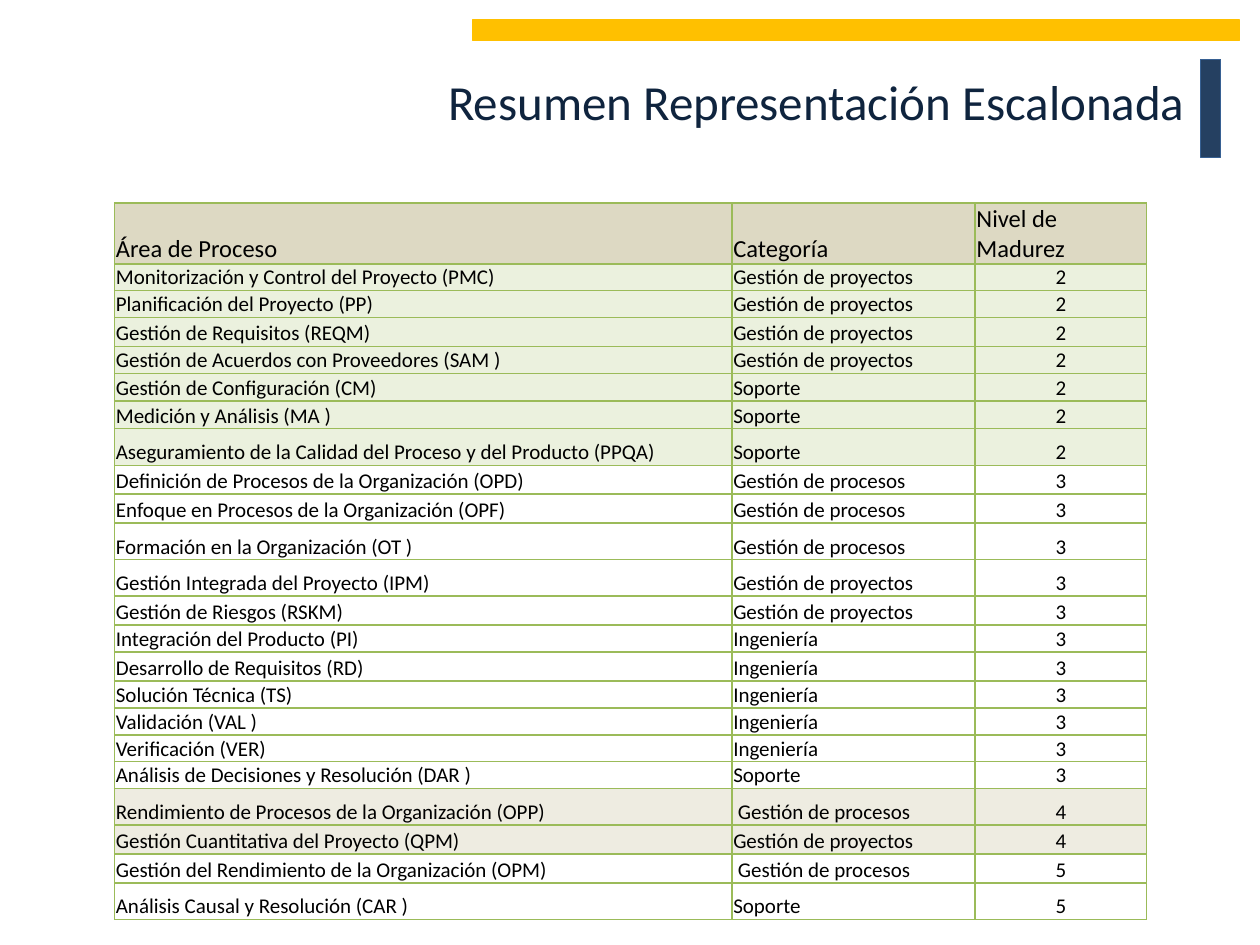
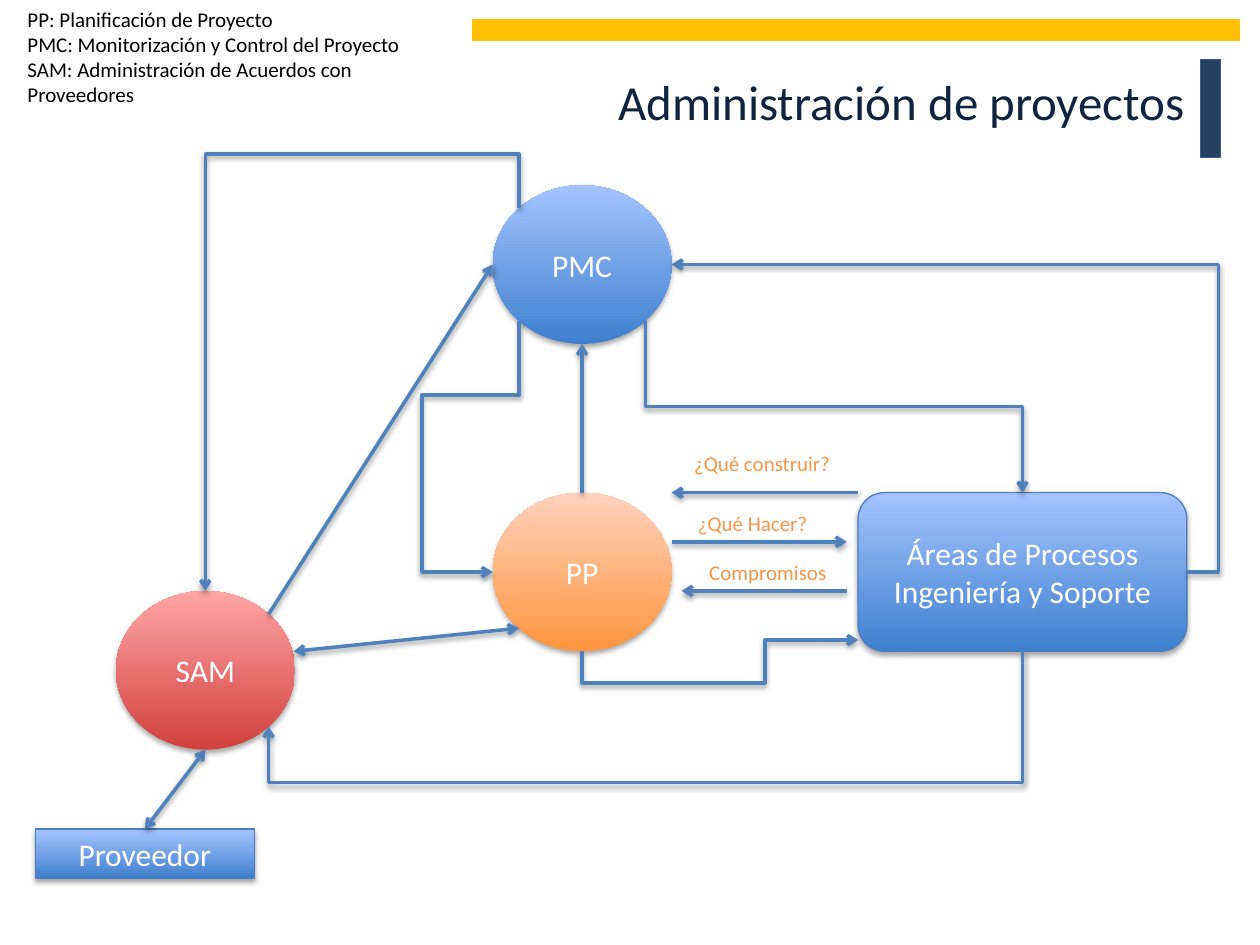
import math
from typing import NamedTuple

import pptx
import pptx.dml.color
import pptx.enum.shapes
import pptx.enum.text
import pptx.oxml
import pptx.oxml.ns
import pptx.util
from lxml import etree

Inches = pptx.util.Inches
Pt = pptx.util.Pt
qn = pptx.oxml.ns.qn
SHAPE = pptx.enum.shapes.MSO_SHAPE
CONNECTOR = pptx.enum.shapes.MSO_CONNECTOR
ALIGN = pptx.enum.text.PP_ALIGN
ANCHOR = pptx.enum.text.MSO_ANCHOR

FONT = "Calibri"
COLORS = {
    "title": "0F243E", "text": "000000", "white": "FFFFFF", "label": "F79646",
    "navy": "254061", "navy_line": "376092", "yellow": "FFC000",
    "header": "DDD9C3", "level_2": "EBF1DE", "level_4": "EEECE1",
    "border": "9BBB59", "connector": "4F81BD", "box_line": "4B7EBC",
}
GRADIENTS = {  # bottom colour, top colour
    "blue": ("3F80CE", "A4C4FF"),
    "orange": ("FF953E", "FFD2BD"),
    "red": ("D1403C", "FFA6A5"),
}
LEVEL_FILLS = {2: "level_2", 4: "level_4"}

HEADINGS = ("Área de Proceso", "Categoría", "Nivel de Madurez")
COLUMN_WIDTHS = (4.9, 1.93, 1.36)
HEADER_HEIGHT = 0.48
PROCESS_AREAS = [  # area, category, maturity level, row height
    ("Monitorización y Control del Proyecto (PMC)", "Gestión de proyectos", 2, 0.21),
    ("Planificación del Proyecto (PP)", "Gestión de proyectos", 2, 0.21),
    ("Gestión de Requisitos (REQM)", "Gestión de proyectos", 2, 0.23),
    ("Gestión de Acuerdos con Proveedores (SAM )", "Gestión de proyectos", 2, 0.21),
    ("Gestión de Configuración (CM)", "Soporte", 2, 0.22),
    ("Medición y Análisis (MA )", "Soporte", 2, 0.22),
    ("Aseguramiento de la Calidad del Proceso y del Producto (PPQA)", "Soporte", 2, 0.29),
    ("Definición de Procesos de la Organización (OPD)", "Gestión de procesos", 3, 0.23),
    ("Enfoque en Procesos de la Organización (OPF)", "Gestión de procesos", 3, 0.23),
    ("Formación en la Organización (OT )", "Gestión de procesos", 3, 0.29),
    ("Gestión Integrada del Proyecto (IPM)", "Gestión de proyectos", 3, 0.29),
    ("Gestión de Riesgos (RSKM)", "Gestión de proyectos", 3, 0.23),
    ("Integración del Producto (PI)", "Ingeniería", 3, 0.21),
    ("Desarrollo de Requisitos (RD)", "Ingeniería", 3, 0.23),
    ("Solución Técnica (TS)", "Ingeniería", 3, 0.21),
    ("Validación (VAL )", "Ingeniería", 3, 0.21),
    ("Verificación (VER)", "Ingeniería", 3, 0.21),
    ("Análisis de Decisiones y Resolución (DAR )", "Soporte", 3, 0.21),
    ("Rendimiento de Procesos de la Organización (OPP)", " Gestión de procesos", 4, 0.29),
    ("Gestión Cuantitativa del Proyecto (QPM)", "Gestión de proyectos", 4, 0.23),
    ("Gestión del Rendimiento de la Organización (OPM)", " Gestión de procesos", 5, 0.23),
    ("Análisis Causal y Resolución (CAR )", "Soporte", 5, 0.29),
]
LEGEND = (
    "PP: Planificación de Proyecto",
    "PMC: Monitorización y Control del Proyecto",
    "SAM: Administración de Acuerdos con Proveedores",
)
EXCHANGES = [  # label, label left, label top, label width, arrow start x, arrow end x, arrow y
    ("¿Qué construir?", 5.41, 3.53, 1.32, 6.81, 5.33, 3.91),
    ("¿Qué Hacer?", 5.44, 4, 1.18, 5.33, 6.72, 4.3),
    ("Compromisos", 5.53, 4.39, 1.18, 6.72, 5.41, 4.69),
]


class Site(NamedTuple):
    """A connection site of a shape, counted counter-clockwise from the top."""
    shape: object
    index: int


def color(name):
    return pptx.dml.color.RGBColor.from_string(COLORS[name])


def write(frame, lines, size, tint, align=None):
    for number, line in enumerate(lines):
        para = frame.paragraphs[0] if number == 0 else frame.add_paragraph()
        para.alignment = align
        span = para.add_run()
        span.text = line
        span.font.name = FONT
        span.font.size = Pt(size)
        span.font.color.rgb = color(tint)


def add_band(page, box, fill, line):
    band = page.shapes.add_shape(SHAPE.RECTANGLE, *map(Inches, box))
    band.shadow.inherit = False
    band.fill.solid()
    band.fill.fore_color.rgb = color(fill)
    band.line.color.rgb = color(line)
    band.line.width = Pt(0.75)


def add_page(deck, title, title_height):
    page = deck.slides.add_slide(deck.slide_layouts[5])
    add_band(page, (9.53, 0.47, 0.16, 0.78), "navy", "navy_line")
    add_band(page, (3.75, 0.16, 6.09, 0.16), "yellow", "yellow")
    holder = page.shapes.title
    holder.left, holder.top = Inches(0.5), Inches(0.52)
    holder.width, holder.height = Inches(9), Inches(title_height)
    holder.text_frame.vertical_anchor = ANCHOR.TOP
    write(holder.text_frame, [title], 28, "title", ALIGN.RIGHT)
    return page


def set_borders(cell):
    properties = cell._tc.get_or_add_tcPr()
    for side in ("a:lnL", "a:lnR", "a:lnT", "a:lnB"):
        border = etree.SubElement(properties, qn(side), w=str(Pt(1)))
        fill = etree.SubElement(border, qn("a:solidFill"))
        etree.SubElement(fill, qn("a:srgbClr"), val=COLORS["border"])


def fill_cell(cell, text, size, fill, align=None):
    cell.margin_left = cell.margin_right = cell.margin_top = Inches(0.01)
    cell.margin_bottom = 0
    cell.vertical_anchor = ANCHOR.BOTTOM
    set_borders(cell)
    if fill:
        cell.fill.solid()
        cell.fill.fore_color.rgb = color(fill)
    else:
        cell.fill.background()
    write(cell.text_frame, [text], size, "text", align)


def add_maturity_table(page):
    heights = [HEADER_HEIGHT] + [area[-1] for area in PROCESS_AREAS]
    frame = page.shapes.add_table(
        len(heights), len(HEADINGS), Inches(0.91), Inches(1.61),
        Inches(sum(COLUMN_WIDTHS)), Inches(sum(heights)))
    table = frame.table
    table.first_row = table.horz_banding = False
    for column, width in zip(table.columns, COLUMN_WIDTHS):
        column.width = Inches(width)
    for row, height in zip(table.rows, heights):
        row.height = Inches(height)
    for index, heading in enumerate(HEADINGS):
        fill_cell(table.cell(0, index), heading, 14, "header")
    for row, (area, category, level, _) in enumerate(PROCESS_AREAS, 1):
        fill = LEVEL_FILLS.get(level)
        fill_cell(table.cell(row, 0), area, 12, fill)
        fill_cell(table.cell(row, 1), category, 12, fill)
        fill_cell(table.cell(row, 2), str(level), 12, fill, ALIGN.CENTER)


def cast_shadow(effects, distance, opacity):
    shadow = etree.SubElement(
        effects, qn("a:outerShdw"), blurRad=str(Pt(3.1)), dist=str(Pt(distance)),
        dir="5400000", rotWithShape="0")
    tint = etree.SubElement(shadow, qn("a:srgbClr"), val="000000")
    etree.SubElement(tint, qn("a:alpha"), val=str(opacity * 1000))


def add_node(page, kind, box, text, gradient):
    node = page.shapes.add_shape(kind, *map(Inches, box))
    node.fill.gradient()
    node.fill.gradient_angle = 90
    for stop, tint in zip(node.fill.gradient_stops, GRADIENTS[gradient]):
        stop.color.rgb = pptx.dml.color.RGBColor.from_string(tint)
    if kind == SHAPE.OVAL:
        node.line.fill.background()
    else:
        node.line.color.rgb = color("box_line")
        node.line.width = Pt(0.75)
    node.shadow.inherit = False
    cast_shadow(node._element.spPr.find(qn("a:effectLst")), 1.8, 35)
    node.text_frame.word_wrap = True
    node.text_frame.vertical_anchor = ANCHOR.MIDDLE
    write(node.text_frame, [text], 18, "white", ALIGN.CENTER)
    return node


def add_circle(page, left, top, text, gradient):
    return add_node(page, SHAPE.OVAL, (left, top, 1.42, 1.26), text, gradient)


def add_text(page, box, lines, tint):
    label = page.shapes.add_textbox(*map(Inches, box))
    label.text_frame.word_wrap = True
    write(label.text_frame, lines, 12, tint)


def locate(end):
    """Position in inches of a site or of a free point."""
    if not isinstance(end, Site):
        return end
    shape = end.shape
    count = 8 if shape.auto_shape_type == SHAPE.OVAL else 4
    angle = math.radians(90 + 360 / count * end.index)
    x = shape.left + shape.width / 2 * (1 + math.cos(angle))
    y = shape.top + shape.height / 2 * (1 - math.sin(angle))
    return x / Inches(1), y / Inches(1)


def add_line(page, kind, begin, end, start, finish, both_ways=False):
    """Draw from begin to end, glued to start and finish where those are sites."""
    line = page.shapes.add_connector(kind, *map(Inches, begin + end))
    line.line.color.rgb = color("connector")
    line.line.width = Pt(2)
    outline = line.line._get_or_add_ln()
    for tag in ("a:headEnd", "a:tailEnd") if both_ways else ("a:tailEnd",):
        etree.SubElement(outline, qn(tag), type="arrow")
    cast_shadow(etree.SubElement(line._element.spPr, qn("a:effectLst")), 1.6, 38)
    joints = line._element.nvCxnSpPr.cNvCxnSpPr
    for tag, joint in (("a:stCxn", start), ("a:endCxn", finish)):
        if isinstance(joint, Site):
            etree.SubElement(joints, qn(tag), id=str(joint.shape.shape_id),
                             idx=str(joint.index))
    return line


def add_straight(page, start, finish, both_ways=False):
    return add_line(page, CONNECTOR.STRAIGHT, locate(start), locate(finish),
                    start, finish, both_ways)


def add_elbow(page, start, finish, heading, leg, side_leg=None):
    """Leave start along heading (degrees clockwise from right) for leg inches,
    then turn; side_leg is the length of the second stretch, if it turns again."""
    (x1, y1), (x2, y2) = locate(start), locate(finish)
    cos, sin = math.cos(math.radians(heading)), math.sin(math.radians(heading))
    along = (x2 - x1) * cos + (y2 - y1) * sin
    across = (y2 - y1) * cos - (x2 - x1) * sin
    middle_x, middle_y = (x1 + x2) / 2, (y1 + y2) / 2
    line = add_line(page, CONNECTOR.ELBOW,
                    (middle_x - along / 2, middle_y - across / 2),
                    (middle_x + along / 2, middle_y + across / 2), start, finish)
    properties = line._element.spPr
    properties.find(qn("a:xfrm")).set("rot", str(heading * 60000))
    ratios = [leg / along]
    if side_leg is not None:
        ratios.append(side_leg / across)
    geometry = properties.find(qn("a:prstGeom"))
    geometry.set("prst", f"bentConnector{len(ratios) + 2}")
    guides = geometry.find(qn("a:avLst"))
    for number, ratio in enumerate(ratios, 1):
        etree.SubElement(guides, qn("a:gd"), name=f"adj{number}",
                         fmla=f"val {round(ratio * 100000)}")


def add_project_diagram(page):
    planning = add_circle(page, 3.91, 3.91, "PP", "orange")
    monitoring = add_circle(page, 3.91, 1.47, "PMC", "blue")
    agreements = add_circle(page, 0.92, 4.69, "SAM", "red")
    supplier = add_node(page, SHAPE.RECTANGLE, (0.28, 6.58, 1.74, 0.39), "Proveedor", "blue")
    areas = add_node(page, SHAPE.ROUNDED_RECTANGLE, (6.81, 3.91, 2.61, 1.26),
                     "Áreas de Procesos Ingeniería y Soporte", "blue")

    supply = add_straight(page, Site(agreements, 4), (1.15, 6.58), both_ways=True)
    supply.end_connect(supplier, 0)
    add_straight(page, (2.33, 5.17), Site(planning, 3), both_ways=True)
    add_straight(page, Site(agreements, 7), Site(monitoring, 2))
    add_straight(page, Site(planning, 0), Site(monitoring, 4))

    add_elbow(page, Site(monitoring, 3), Site(planning, 2), 90, 0.59, 0.77)
    add_elbow(page, Site(monitoring, 1), Site(agreements, 0), 270, 0.43)
    add_elbow(page, Site(areas, 3), Site(monitoring, 6), 0, 0.25)
    add_elbow(page, Site(planning, 4), (6.81, 5.08), 90, 0.25, -1.45)
    add_elbow(page, Site(areas, 2), Site(agreements, 5), 90, 1.04)
    add_elbow(page, Site(monitoring, 5), Site(areas, 0), 270, -0.68)

    for text, left, top, width, start_x, end_x, y in EXCHANGES:
        add_straight(page, (start_x, y), (end_x, y))
        add_text(page, (left, top, width, 0.3), [text], "label")


def main():
    deck = pptx.Presentation()
    deck.slide_width, deck.slide_height = Inches(10), Inches(7.5)

    summary = add_page(deck, "Resumen Representación Escalonada", 0.87)
    add_maturity_table(summary)

    projects = add_page(deck, "Administración de proyectos", 1.25)
    add_project_diagram(projects)
    add_text(projects, (0.12, 0, 3.46, 0.91), LEGEND, "text")

    deck.save("out.pptx")


if __name__ == "__main__":
    main()
